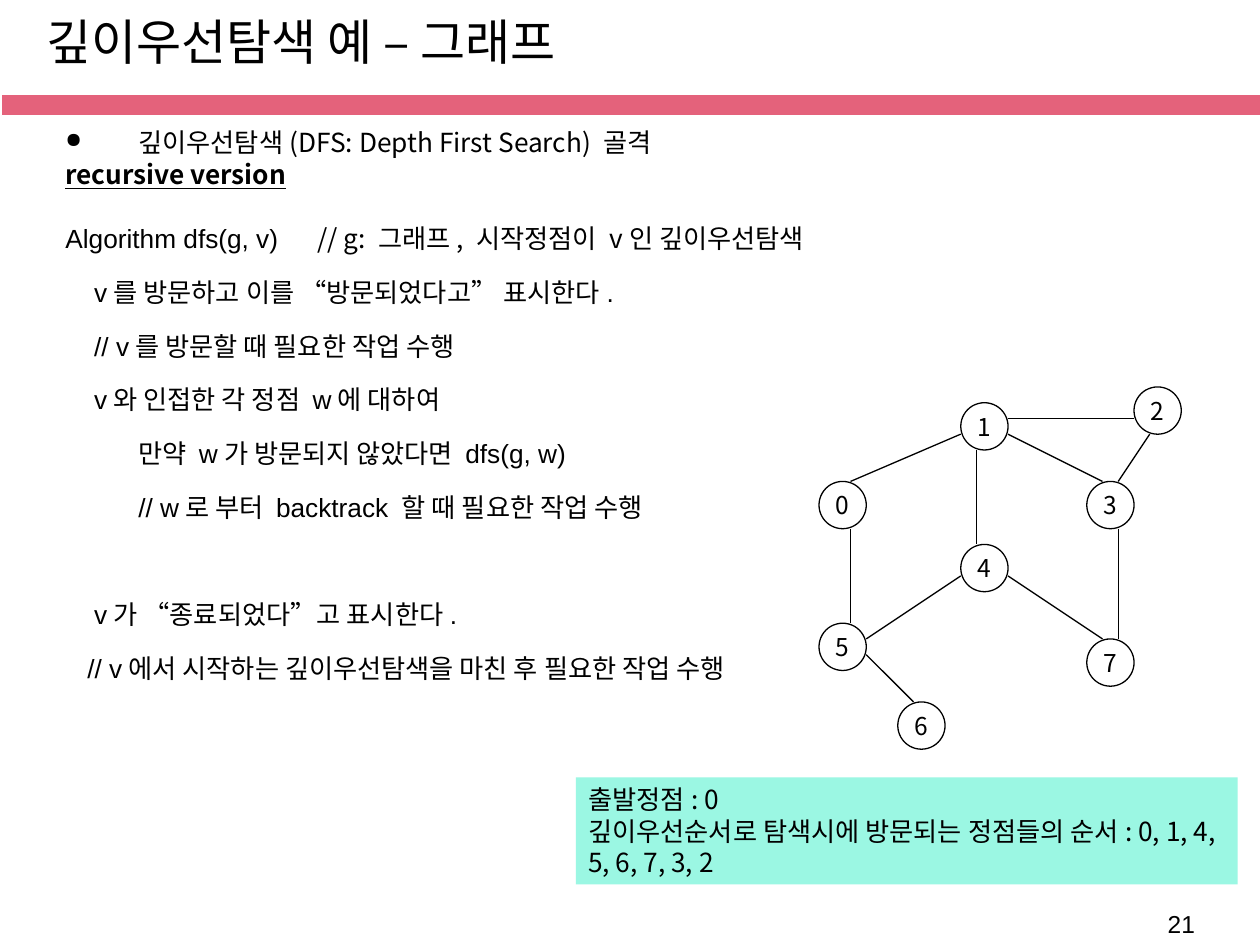
from typing import NamedTuple

from lxml.etree import SubElement as Sub
from pptx import Presentation
from pptx.dml.color import RGBColor
from pptx.enum.shapes import MSO_CONNECTOR as Link, MSO_SHAPE as Kind
from pptx.enum.text import MSO_ANCHOR as Anchor, PP_ALIGN as Align
from pptx.oxml.ns import qn
from pptx.util import Cm, Pt

BLACK = RGBColor(0, 0, 0)
WHITE = RGBColor(255, 255, 255)
PINK = RGBColor(0xE4, 0x62, 0x7B)
MINT = RGBColor(0x9B, 0xF7, 0xE3)
SANS = "Noto Sans CJK KR"
ARIAL = "Arial"
TIMES = "Times New Roman"
UNIT = 2.54 / 8
LEFT, TOP = 16.51, 7.8


class Node(NamedTuple):
    name: str
    x: int
    y: int


class Edge(NamedTuple):
    x1: int
    y1: int
    x2: int
    y2: int


class Step(NamedTuple):
    text: str
    inset: float
    before: float = 3.7


NODES = [
    Node("4", 9, 10), Node("1", 9, 1), Node("7", 17, 16), Node("5", 0, 15),
    Node("0", 0, 6), Node("3", 17, 6), Node("6", 5, 20), Node("2", 20, 0),
]
EDGES = [
    Edge(2, 9, 2, 15), Edge(2, 6, 9, 3), Edge(10, 4, 10, 10),
    Edge(9, 12, 3, 16), Edge(3, 17, 6, 20), Edge(12, 12, 18, 16),
    Edge(12, 3, 18, 6), Edge(19, 9, 19, 16), Edge(12, 2, 20, 2),
    Edge(21, 3, 19, 6),
]
STEPS = [
    Step("v를 방문하고 이를 “방문되었다고” 표시한다.", 0.58),
    Step("// v를 방문할 때 필요한 작업 수행", 0.58),
    Step("v와 인접한 각 정점 w에 대하여", 0.58),
    Step("만약 w가 방문되지 않았다면 dfs(g, w)", 1.47),
    Step("// w로 부터 backtrack 할 때 필요한 작업 수행", 1.47),
    Step("v가 “종료되었다”고 표시한다.", 0.58, 34.4),
    Step("// v에서 시작하는 깊이우선탐색을 마친 후 필요한 작업 수행", 0.44),
]


def write(para, text: str, *, font=SANS, size=15, bold=False, line=False):
    run = para.add_run()
    run.text = text
    face = run.font
    face.name, face.size, face.bold, face.underline = font, Pt(size), bold, line
    face.color.rgb = BLACK
    Sub(run._r.get_or_add_rPr(), qn("a:ea"), typeface=SANS)


def start(frame, pitch: float, before=0.0, inset=0.0, hang=0.0):
    para = frame.paragraphs[0]
    if para.runs:
        para = frame.add_paragraph()
    para.alignment = Align.LEFT
    para.line_spacing = Pt(pitch)
    para.space_before = Pt(before)
    props = para._p.get_or_add_pPr()
    props.set("marL", str(Cm(inset)))
    props.set("indent", str(Cm(-hang)))
    return para


def label(slide, x: float, y: float, w: float, h: float):
    frame = slide.shapes.add_textbox(Cm(x), Cm(y), Cm(w), Cm(h)).text_frame
    frame.word_wrap = True
    return frame


def block(slide, kind, x: float, y: float, w: float, h: float, fill: RGBColor):
    shape = slide.shapes.add_shape(kind, Cm(x), Cm(y), Cm(w), Cm(h))
    shape.shadow.inherit = False
    shape.fill.solid()
    shape.fill.fore_color.rgb = fill
    shape.line.fill.background()
    return shape


def draw_node(slide, node: Node):
    side = 3 * UNIT
    shape = block(slide, Kind.OVAL, LEFT + node.x * UNIT, TOP + node.y * UNIT,
                  side, side, WHITE)
    shape.line.color.rgb = BLACK
    shape.line.width = Pt(0.75)
    frame = shape.text_frame
    frame.word_wrap = False
    frame.vertical_anchor = Anchor.MIDDLE
    para = frame.paragraphs[0]
    para.alignment = Align.CENTER
    write(para, node.name, size=14)


def draw_edge(slide, edge: Edge):
    line = slide.shapes.add_connector(
        Link.STRAIGHT,
        Cm(LEFT + edge.x1 * UNIT), Cm(TOP + edge.y1 * UNIT),
        Cm(LEFT + edge.x2 * UNIT), Cm(TOP + edge.y2 * UNIT))
    line.line.color.rgb = BLACK
    line.line.width = Pt(0.75)
    Sub(line._element.spPr, qn("a:effectLst"))


def draw_steps(slide):
    frame = label(slide, 1.07, 2.54, 15.8, 11.99)
    para = start(frame, 14.6, inset=1.47, hang=1.47)
    props = para._p.get_or_add_pPr()
    Sub(Sub(props, qn("a:buClr")), qn("a:srgbClr"), val=str(BLACK))
    Sub(props, qn("a:buSzPct"), val="80000")
    Sub(props, qn("a:buChar"), char="●")
    write(para, "깊이우선탐색(DFS: Depth First Search) 골격")

    write(start(frame, 14.6, 3.7), "recursive version", bold=True, line=True)

    para = start(frame, 14.6, 22)
    tabs = Sub(para._p.get_or_add_pPr(), qn("a:tabLst"))
    Sub(tabs, qn("a:tab"), pos=str(Cm(5.03)), algn="l")
    write(para, "Algorithm dfs(g, v)\t", font=ARIAL)
    write(para, "// g: 그래프, 시작정점이 v인 깊이우선탐색")

    for step in STEPS:
        para = start(frame, 27, step.before, step.inset)
        write(para, step.text, font=ARIAL)


def draw_order(slide):
    frame = block(slide, Kind.RECTANGLE, 11.61, 15.67, 13.34, 2.16,
                  MINT).text_frame
    frame.word_wrap = True
    frame.vertical_anchor = Anchor.TOP
    write(start(frame, 18), "출발정점: 0")
    para = start(frame, 18)
    write(para, "깊이우선순서로 탐색시에 방문되는", font=TIMES)
    write(para, " 정점")
    write(para, "들의 순서", font=TIMES)
    write(para, ": 0, 1, 4, 5, 6, 7, 3, 2")


def main():
    deck = Presentation()
    deck.slide_width, deck.slide_height = Cm(25.4), Cm(19.05)
    slide = deck.slides.add_slide(deck.slide_layouts[6])

    bar = block(slide, Kind.RECTANGLE, 0.03, 1.9, 25.4, 0.43, PINK)
    bar.line.color.rgb = WHITE
    bar.line.width = Pt(1)
    write(label(slide, 23.29, 18.21, 1.45, 0.86).paragraphs[0], "21",
          font=ARIAL, size=14)
    write(start(label(slide, 0.69, 0.05, 24.41, 1.9), 35),
          "깊이우선탐색 예 – 그래프", font=ARIAL, size=28)
    for node in NODES:
        draw_node(slide, node)
    for edge in EDGES:
        draw_edge(slide, edge)
    draw_order(slide)
    draw_steps(slide)
    deck.save("out.pptx")


if __name__ == "__main__":
    main()
